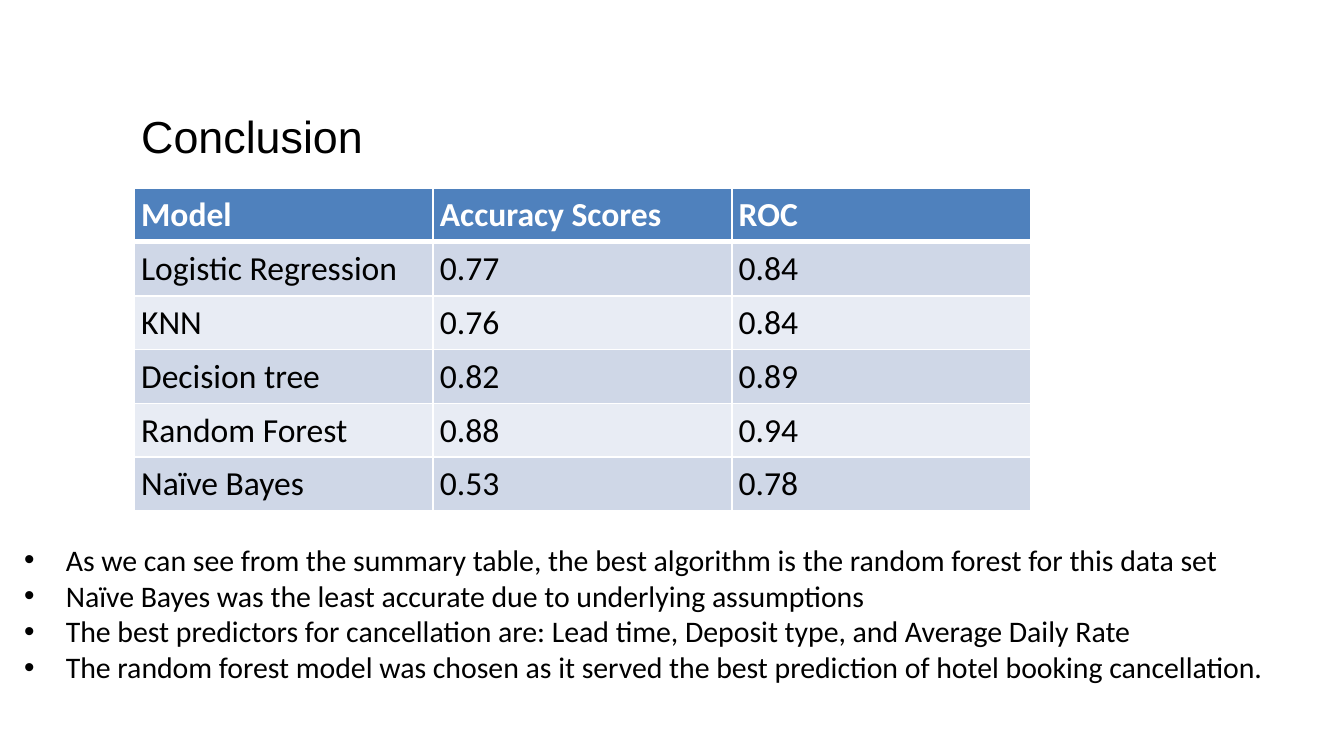
from lxml.etree import SubElement
from pptx import Presentation
from pptx.dml.color import RGBColor
from pptx.enum.text import MSO_ANCHOR, PP_ALIGN
from pptx.oxml.ns import qn
from pptx.util import Inches, Pt

COLORS = {
    "text": "000000",
    "white": "FFFFFF",
    "header": "4F81BD",
    "odd": "CFD7E7",
    "even": "E8ECF4",
}
SCORES = [
    ("Model", "Accuracy Scores", "ROC"),
    ("Logistic Regression", "0.77", "0.84"),
    ("KNN", "0.76", "0.84"),
    ("Decision tree", "0.82", "0.89"),
    ("Random Forest", "0.88", "0.94"),
    ("Naïve Bayes", "0.53", "0.78"),
]
FINDINGS = [
    "As we can see from the summary table, the best algorithm is the random forest for this data set",
    "Naïve Bayes was the least accurate due to underlying assumptions",
    "The best predictors for cancellation are: Lead time, Deposit type, and Average Daily Rate",
    "The random forest model was chosen as it served the best prediction of hotel booking cancellation.",
]
SLIDE_WIDTH = 10
INSET = 0.05
BULLET_INDENT = 0.31


def rgb(name):
    """Return the named colour."""
    return RGBColor.from_string(COLORS[name])


def set_insets(target, inset):
    """Give a text frame or table cell equal margins."""
    target.margin_left = target.margin_right = Inches(inset)
    target.margin_top = target.margin_bottom = Inches(inset)


def add_bullet(paragraph):
    """Give a paragraph a round bullet with a hanging indent."""
    properties = paragraph._p.get_or_add_pPr()
    properties.set("marL", str(Inches(BULLET_INDENT)))
    properties.set("indent", str(-Inches(BULLET_INDENT)))
    SubElement(properties, qn("a:buFont"), typeface="Arial")
    SubElement(properties, qn("a:buChar"), char="•")


def write(frame, lines, size=18, font="Calibri", color="text", bold=False,
          align=PP_ALIGN.LEFT, bullets=False):
    """Fill a text frame with one formatted paragraph per line."""
    for index, line in enumerate(lines):
        paragraph = frame.add_paragraph() if index else frame.paragraphs[0]
        paragraph.alignment = align
        if bullets:
            add_bullet(paragraph)
        run = paragraph.add_run()
        run.text = line
        run.font.size = Pt(size)
        run.font.name = font
        run.font.bold = bold
        run.font.color.rgb = rgb(color)


def add_text(slide, lines, left, top, width, height, inset=0, **formatting):
    """Add a wrapping text box."""
    box = slide.shapes.add_textbox(Inches(left), Inches(top), Inches(width), Inches(height))
    frame = box.text_frame
    frame.word_wrap = True
    frame.vertical_anchor = MSO_ANCHOR.TOP
    set_insets(frame, inset)
    write(frame, lines, **formatting)


def set_borders(cell, **widths):
    """Draw white cell borders of the given point widths."""
    properties = cell._tc.get_or_add_tcPr()
    for side in "LRTB":
        line = SubElement(properties, qn(f"a:ln{side}"), w=str(Pt(widths.get(side, 1))))
        fill = SubElement(line, qn("a:solidFill"))
        SubElement(fill, qn("a:srgbClr"), val=COLORS["white"])


def add_scores(slide, left, top, width, header_height, row_height):
    """Add the table of model scores."""
    height = header_height + row_height * (len(SCORES) - 1)
    table = slide.shapes.add_table(len(SCORES), len(SCORES[0]), Inches(left), Inches(top),
                                   Inches(width), Inches(height)).table
    for index, values in enumerate(SCORES):
        is_header = index == 0
        table.rows[index].height = Inches(header_height if is_header else row_height)
        band = "header" if is_header else "odd" if index % 2 else "even"
        for cell, value in zip(table.rows[index].cells, values):
            set_insets(cell, INSET)
            set_borders(cell, T=3 if index == 1 else 1, B=3 if is_header else 1)
            cell.fill.solid()
            cell.fill.fore_color.rgb = rgb(band)
            write(cell.text_frame, [value], bold=is_header,
                  color="white" if is_header else "text")


def main():
    """Build the conclusion slide."""
    deck = Presentation()
    deck.slide_width = Inches(SLIDE_WIDTH)
    deck.slide_height = Inches(SLIDE_WIDTH * 9 / 16)
    slide = deck.slides.add_slide(deck.slide_layouts[6])
    add_text(slide, ["Conclusion"], -1.75, 0.81, 7.25, 0.4,
             size=24, font="Arial", align=PP_ALIGN.CENTER)
    add_text(slide, FINDINGS, 0.13, 3.98, 19.45, 1.72, inset=INSET, size=16, bullets=True)
    add_scores(slide, 1, 1.4, 6.67, header_height=0.38, row_height=0.4)
    deck.save("out.pptx")


if __name__ == "__main__":
    main()
